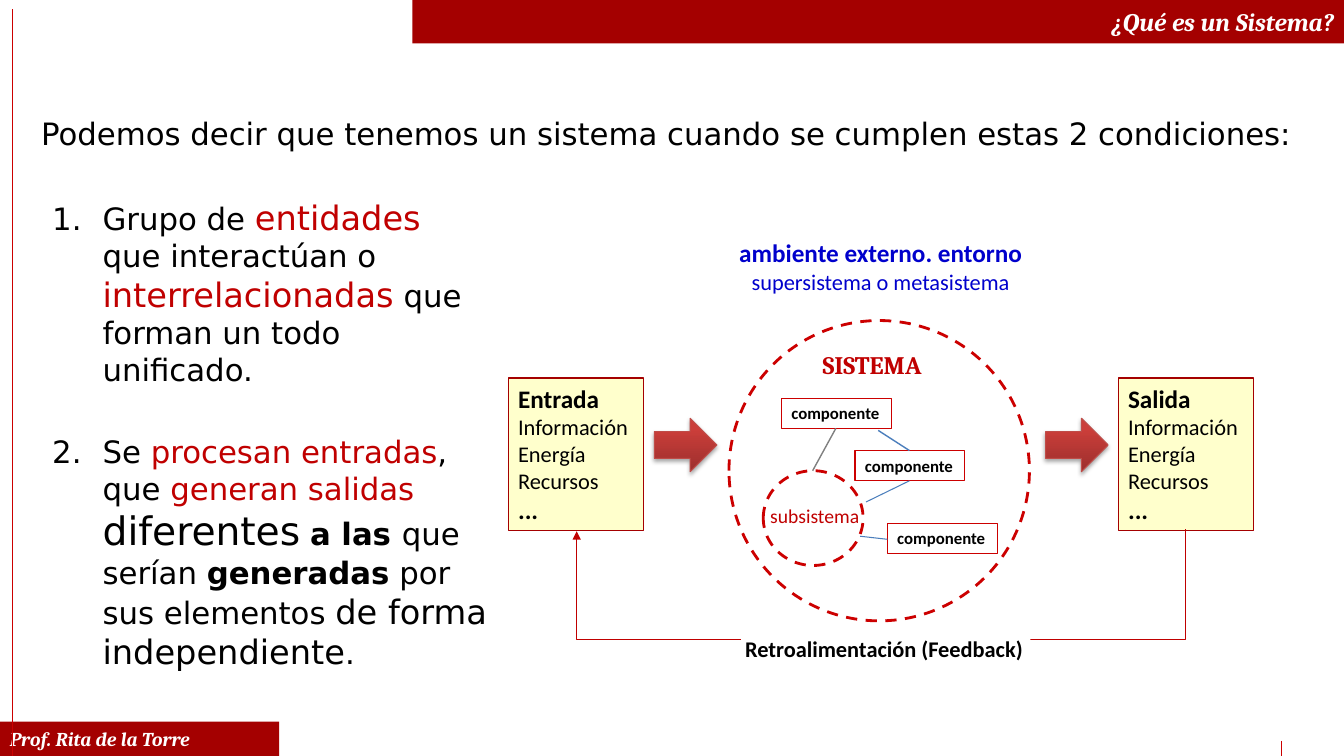
"""Build the slide that explains what a system is."""
from dataclasses import dataclass
from typing import Any, Optional

import pptx
import pptx.dml.color
import pptx.enum.dml
import pptx.enum.shapes
import pptx.enum.text
import pptx.oxml
import pptx.oxml.ns
import pptx.util

PX = 9144
NS = pptx.oxml.ns.nsdecls("a")
SHAPE = pptx.enum.shapes.MSO_SHAPE
ALIGN = pptx.enum.text.PP_ALIGN
ANCHOR = pptx.enum.text.MSO_ANCHOR
DASH = pptx.enum.dml.MSO_LINE.DASH
BLACK, WHITE, BLUE = "000000", "FFFFFF", "0000CC"
RED, BRIGHT, DARK = "C00000", "CC0000", "A40000"
STEEL, GRAY, CREAM = "4B7EBC", "808080", "FFFFCC"


@dataclass(frozen=True)
class Box:
    """Position and look of a shape, in px."""
    x: int
    y: int
    w: int
    h: int
    kind: Any = SHAPE.RECTANGLE
    fill: Optional[str] = None
    line: Optional[str] = None
    weight: float = 0.75
    dashed: bool = False


@dataclass(frozen=True)
class Segment:
    """Straight line between two points, in px."""
    x1: int
    y1: int
    x2: int
    y2: int
    color: str
    weight: float = 0.75


@dataclass(frozen=True)
class Store:
    """Input or output box with its heading."""
    x: int
    heading: str


def rgb(color: str) -> Any:
    """Turn a hex string into a colour."""
    return pptx.dml.color.RGBColor.from_string(color)


def add_box(s: Any, box: Box) -> Any:
    """Draw a preset shape."""
    sp = s.shapes.add_shape(box.kind, box.x * PX, box.y * PX, box.w * PX, box.h * PX)
    sp.shadow.inherit = False
    if box.fill:
        sp.fill.solid()
        sp.fill.fore_color.rgb = rgb(box.fill)
    else:
        sp.fill.background()
    if box.line:
        sp.line.color.rgb = rgb(box.line)
        sp.line.width = pptx.util.Pt(box.weight)
        if box.dashed:
            sp.line.dash_style = DASH
    else:
        sp.line.fill.background()
    return sp


def add_frame(sp: Any, *, wrap: bool = False, anchor: Any = ANCHOR.TOP,
              inset: Optional[int] = None, grow: bool = True) -> Any:
    """Prepare the text frame of a shape."""
    tf = sp.text_frame
    tf.word_wrap = wrap
    tf.vertical_anchor = anchor
    if grow:
        tf.auto_size = pptx.enum.text.MSO_AUTO_SIZE.SHAPE_TO_FIT_TEXT
    if inset is not None:
        tf.margin_left = tf.margin_right = tf.margin_top = tf.margin_bottom = inset * PX
    tf.paragraphs[0].alignment = ALIGN.LEFT
    return tf


def add_textbox(s: Any, x: int, y: int, w: int, h: int, wrap: bool = False) -> Any:
    """Add a text box and return its frame."""
    return add_frame(s.shapes.add_textbox(x * PX, y * PX, w * PX, h * PX), wrap=wrap)


def add_text(p: Any, text: str, *, size: float, font: str = "Calibri", color: str = BLACK,
             bold: bool = False, italic: bool = False) -> None:
    """Append formatted text, with a line break at each newline."""
    for i, part in enumerate(text.split("\n")):
        if i:
            p.add_line_break()
        if part:
            r = p.add_run()
            r.text = part
            r.font.size = pptx.util.Pt(size)
            r.font.name = font
            r.font.color.rgb = rgb(color)
            r.font.bold = bold
            r.font.italic = italic


def add_segment(s: Any, seg: Segment) -> None:
    """Draw a straight connector."""
    c = s.shapes.add_connector(pptx.enum.shapes.MSO_CONNECTOR.STRAIGHT,
                               seg.x1 * PX, seg.y1 * PX, seg.x2 * PX, seg.y2 * PX)
    c.line.color.rgb = rgb(seg.color)
    c.line.width = pptx.util.Pt(seg.weight)
    c._element.spPr.append(pptx.oxml.parse_xml(f"<a:effectLst {NS}/>"))


def add_flow_arrow(s: Any, x: int) -> None:
    """Draw a shaded block arrow."""
    sp = add_box(s, Box(x, 415, 62, 53, SHAPE.RIGHT_ARROW, line="BF4C48"))
    sp.fill.gradient()
    sp.fill.gradient_angle = 90
    for stop, color, position in zip(sp.fill.gradient_stops, ("9C2F2D", "CB3E3A"), (0, 0.8)):
        stop.color.rgb = rgb(color)
        stop.position = position
    effects = sp._element.spPr.find(pptx.oxml.ns.qn("a:effectLst"))
    effects.append(pptx.oxml.parse_xml(
        f'<a:outerShdw {NS} blurRad="39370" dist="22860" dir="5400000" rotWithShape="0">'
        '<a:srgbClr val="000000"><a:alpha val="35000"/></a:srgbClr></a:outerShdw>'))


def add_feedback(s: Any) -> None:
    """Draw the feedback path from output to input."""
    fb = s.shapes.build_freeform(1176, 525, scale=PX)
    fb.add_line_segments([(1176, 634), (572, 634), (572, 527)], close=False)
    sp = fb.convert_to_shape()
    sp.shadow.inherit = False
    sp.fill.background()
    sp.line.color.rgb = rgb(RED)
    sp.line.width = pptx.util.Pt(0.75)
    sp.line._get_or_add_ln().append(pptx.oxml.parse_xml(f'<a:tailEnd {NS} type="triangle"/>'))
    label = add_box(s, Box(735, 626, 287, 35, fill=WHITE))
    add_text(add_frame(label, inset=4).paragraphs[0], "Retroalimentación (Feedback)",
             size=16, bold=True)


def add_banner(s: Any, box: Box, text: str, size: int, align: Any) -> None:
    """Draw a red band with its caption."""
    tf = add_frame(add_box(s, box), wrap=True, anchor=ANCHOR.MIDDLE, grow=False)
    tf.paragraphs[0].alignment = align
    add_text(tf.paragraphs[0], text, size=size, font="Cambria", color=WHITE,
             bold=True, italic=True)


def add_conditions(s: Any) -> None:
    """Write the two numbered conditions."""
    big, red = {"size": 24}, {"color": RED}
    conditions = [
        [("Grupo de ", {}), ("entidades", big | red), ("\nque interactúan o ", {}),
         ("interrelacionadas", big | red), (" que forman un todo unificado.", {})],
        [("Se ", {}), ("procesan entradas", red), (", que ", {}), ("generan salidas ", red),
         ("diferentes", {"size": 28}), (" ", {}), ("a las ", {"bold": True}),
         ("que serían ", {}), ("generadas", {"bold": True}), (" por sus elementos ", {}),
         ("de forma independiente", big), (".", {})],
    ]
    tf = add_textbox(s, 42, 190, 463, 486, wrap=True)
    for i, runs in enumerate(conditions):
        p = tf.add_paragraph() if i else tf.paragraphs[0]
        pPr = p._p.get_or_add_pPr()
        pPr.set("marL", str(50 * PX))
        pPr.set("indent", str(-50 * PX))
        pPr.append(pptx.oxml.parse_xml(f'<a:buAutoNum {NS} type="arabicPeriod"/>'))
        p.space_after = pptx.util.Pt(6 if i else 32)
        for text, style in runs:
            add_text(p, text, **({"size": 22, "font": "DejaVu Sans"} | style))


def add_system(s: Any) -> None:
    """Draw the system circle, its subsystem and its components."""
    add_box(s, Box(723, 318, 298, 298, SHAPE.OVAL, None, BRIGHT, 2, True))
    add_text(add_textbox(s, 806, 342, 138, 40).paragraphs[0], "SISTEMA",
             size=18, font="Cambria", color=RED, bold=True)
    add_box(s, Box(757, 467, 99, 94, SHAPE.OVAL, WHITE, BRIGHT, 2, True))
    add_text(add_textbox(s, 754, 495, 110, 34).paragraphs[0], "subsistema", size=14, color=RED)
    for x, y in ((775, 395), (848, 447), (880, 519)):
        sp = add_box(s, Box(x, y, 109, 30, fill=WHITE, line=BRIGHT))
        add_text(add_frame(sp).paragraphs[0], "componente", size=12, bold=True)
    for seg in (Segment(806, 467, 829, 425, GRAY, 1), Segment(871, 427, 902, 447, STEEL, 1),
                Segment(859, 498, 902, 477, STEEL), Segment(853, 532, 880, 535, STEEL)):
        add_segment(s, seg)


def add_store(s: Any, store: Store) -> None:
    """Draw an input or output box."""
    tf = add_frame(add_box(s, Box(store.x, 375, 134, 151, fill=CREAM, line=DARK)))
    add_text(tf.paragraphs[0], store.heading, size=18, bold=True)
    for text, size, bold in (("Información\nEnergía\nRecursos", 16, False), ("...", 18, True)):
        p = tf.add_paragraph()
        p.alignment = ALIGN.LEFT
        add_text(p, text, size=size, bold=bold)


def main() -> None:
    """Build and save the slide."""
    prs = pptx.Presentation()
    prs.slide_width, prs.slide_height = 1333 * PX, 750 * PX
    s = prs.slides.add_slide(prs.slide_layouts[6])
    add_banner(s, Box(0, 716, 277, 34, fill=DARK), "Prof. Rita de la Torre", 14, ALIGN.LEFT)
    add_segment(s, Segment(1271, 735, 1271, 750, BRIGHT))
    add_segment(s, Segment(12, 9, 12, 750, BRIGHT, 0.5))
    add_banner(s, Box(409, 0, 924, 43, fill=DARK), "¿Qué es un Sistema?", 18, ALIGN.RIGHT)
    add_conditions(s)
    add_system(s)
    for store in (Store(504, "Entrada"), Store(1109, "Salida")):
        add_store(s, store)
    p = add_textbox(s, 722, 231, 303, 67).paragraphs[0]
    p.alignment = ALIGN.CENTER
    add_text(p, "ambiente externo. entorno\n", size=18, color=BLUE, bold=True)
    add_text(p, "supersistema o metasistema", size=16, color=BLUE)
    for x in (649, 1037):
        add_flow_arrow(s, x)
    add_feedback(s)
    p = add_textbox(s, 31, 109, 1287, 47, wrap=True).paragraphs[0]
    p.space_after = pptx.util.Pt(6)
    add_text(p, "Podemos decir que tenemos un sistema cuando se cumplen estas 2 condiciones:",
             size=22, font="DejaVu Sans")
    prs.save("out.pptx")


if __name__ == "__main__":
    main()
